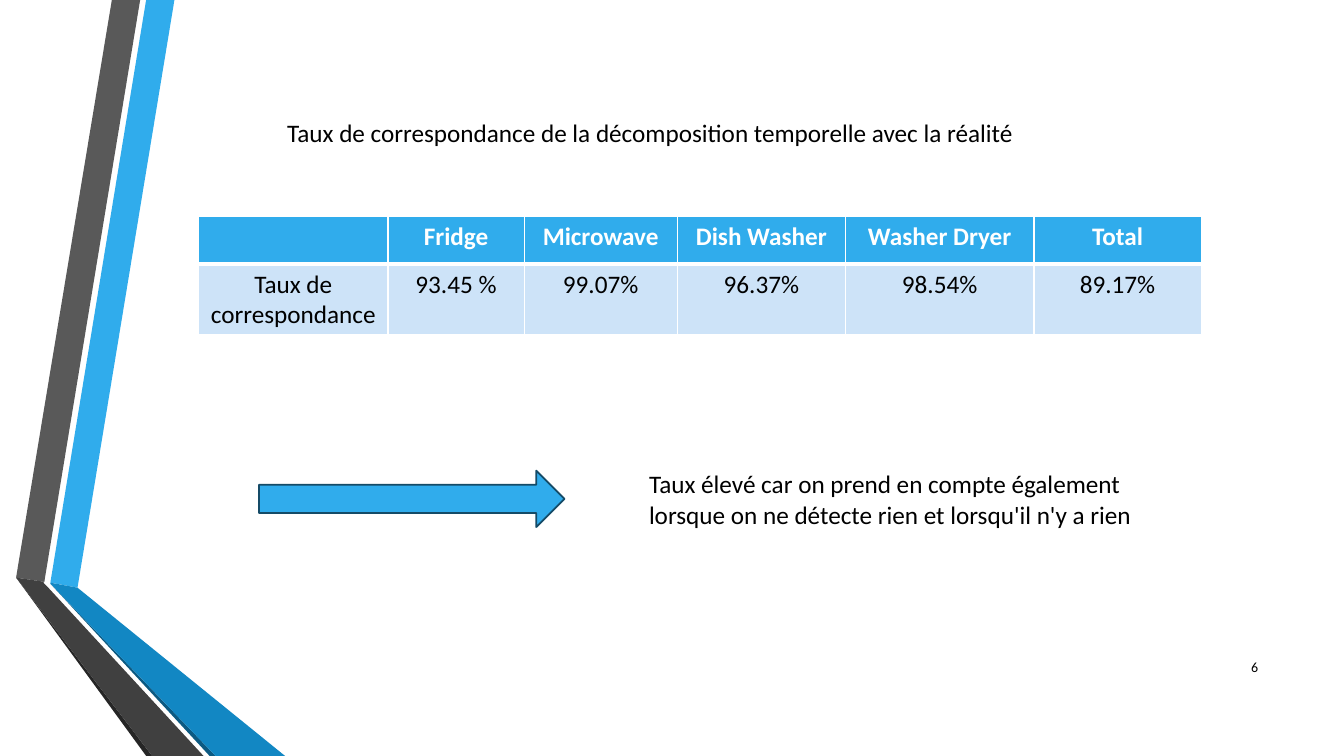
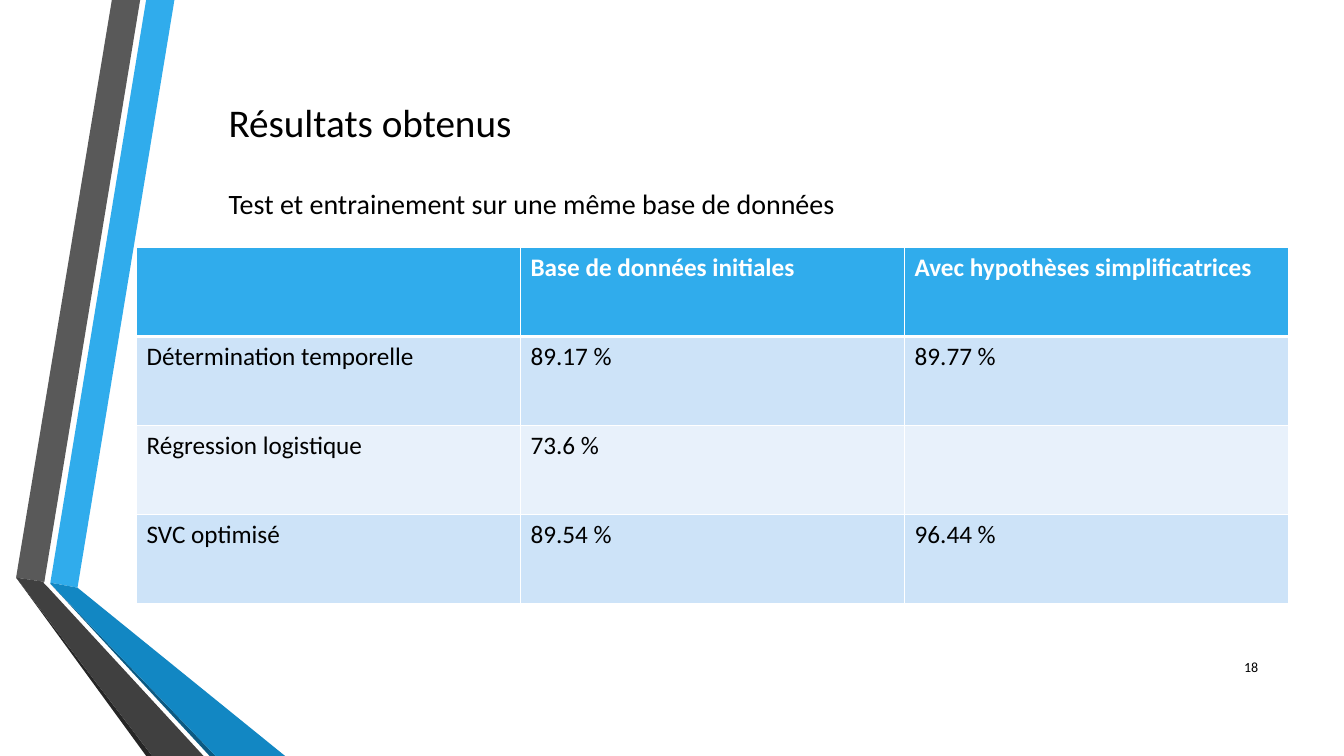
import pptx
import pptx.dml.color
import pptx.enum.shapes
import pptx.enum.text
import pptx.oxml
import pptx.oxml.ns
import pptx.util

Pt = pptx.util.Pt
ALIGN = pptx.enum.text.PP_ALIGN
ANCHOR = pptx.enum.text.MSO_ANCHOR
FIT = pptx.enum.text.MSO_AUTO_SIZE

BLUE, BLACK, WHITE = "30ACEC", "000000", "FFFFFF"
BANDS = ("CDE3F8", "E8F1FB")
BODY = {"name": "Calibri", "size": Pt(18), "bold": False}
HEADER = {**BODY, "bold": True}
SUBTITLE = {**BODY, "size": Pt(20)}
TITLE = {**BODY, "size": Pt(28)}
FOOTER = {**BODY, "size": Pt(10)}
RIBBON_BOX = (11.5, 0, 192.2, 540)
NUMBER_BOX = (862.6, 462.2, 43.2, 28.8)
RIBBONS = (
    (BLUE, ((24.5, 416.2), (43.9, 419.8), (113.1, 0), (92.9, 0))),
    ("595959", ((88.6, 0), (68.4, 0), (0, 412.6), (20.2, 415.6))),
    ("262626", ((0, 412.6), (92.9, 540), (97.2, 540))),
    ("0C5A82", ((24.5, 416.9), (138.3, 540), (142.6, 540))),
    ("1287C3", ((24.5, 416.2), (24.5, 416.9), (142.6, 540), (192.2, 540), (43.9, 419.8))),
    ("404040", ((133.9, 540), (23, 419.8), (19.5, 416.2), (20.2, 415.6), (0, 412.6), (97.2, 540))),
)


def paint(fill, color):
    """Fill a shape, line, cell or font with a hex colour."""
    fill.solid()
    fill.fore_color.rgb = pptx.dml.color.RGBColor.from_string(color)


def apply(obj, values):
    """Set attributes of an object from a dict."""
    for key, value in values.items():
        setattr(obj, key, value)


def write(tf, text, font, color=BLACK, align=ALIGN.LEFT):
    """Write one formatted paragraph in a text frame."""
    p = tf.paragraphs[0]
    p.alignment = align
    r = p.add_run()
    r.text = text
    apply(r.font, font)
    paint(r.font.fill, color)


def add_text(s, box, text, font=BODY, align=ALIGN.LEFT, **frame):
    """Add a wrapped text box."""
    tf = s.shapes.add_textbox(*map(Pt, box)).text_frame
    apply(tf, {"word_wrap": True, "auto_size": FIT.SHAPE_TO_FIT_TEXT, **frame})
    write(tf, text, font, align=align)


def add_ribbons(s, box):
    """Draw the folded ribbons from the top left corner of the box."""
    left, top = box[:2]
    for color, corners in RIBBONS:
        points = [(Pt(left + x), Pt(top + y)) for x, y in corners]
        builder = s.shapes.build_freeform(*points[0], scale=1)
        builder.add_line_segments(points[1:], close=True)
        sp = builder.convert_to_shape()
        sp.shadow.inherit = False
        paint(sp.fill, color)
        sp.line.fill.background()


def add_borders(cell, widths):
    """Give a cell white borders of the given widths."""
    ns = pptx.oxml.ns.nsdecls("a")
    for side, width in widths.items():
        cell._tc.get_or_add_tcPr().append(pptx.oxml.parse_xml(
            f'<a:ln{side} {ns} w="{Pt(width)}"><a:solidFill>'
            f'<a:srgbClr val="{WHITE}"/></a:solidFill></a:ln{side}>'))


def add_table(s, box, rows, widths, heights, align=ALIGN.LEFT):
    """Add a table with a blue header and banded rows."""
    table = s.shapes.add_table(len(rows), len(widths), *map(Pt, box)).table
    for column, width in zip(table.columns, widths):
        column.width = Pt(width)
    for i, (values, height) in enumerate(zip(rows, heights)):
        table.rows[i].height = Pt(height)
        font, color, fill = (BODY, BLACK, BANDS[(i - 1) % 2]) if i else (HEADER, WHITE, BLUE)
        edges = {"L": 1, "R": 1, "T": 3 if i == 1 else 1, "B": 1 if i else 3}
        for j, value in enumerate(values):
            cell = table.cell(i, j)
            add_borders(cell, edges)
            paint(cell.fill, fill)
            if value:
                write(cell.text_frame, value, font, color, align)


def add_arrow(s, box):
    """Add the outlined arrow that leads to the remark."""
    sp = s.shapes.add_shape(pptx.enum.shapes.MSO_SHAPE.RIGHT_ARROW, *map(Pt, box))
    sp.shadow.inherit = False
    paint(sp.fill, BLUE)
    paint(sp.line.fill, "154B67")
    sp.line.width = Pt(1.25)


def new_slide(prs, number):
    """Start a slide with the ribbons and its number."""
    s = prs.slides.add_slide(prs.slide_layouts[6])
    add_ribbons(s, RIBBON_BOX)
    add_text(s, NUMBER_BOX, number, FOOTER, ALIGN.RIGHT,
             auto_size=FIT.NONE, vertical_anchor=ANCHOR.MIDDLE)
    return s


def build_match_slide(prs):
    """Build the slide on the match rate of each appliance."""
    s = new_slide(prs, "6")
    add_text(s, (198, 80.6, 614.9, 28.8),
             "Taux de correspondance de la décomposition temporelle avec la réalité")
    rows = (("", "Fridge", "Microwave", "Dish Washer", "Washer Dryer", "Total"),
            ("Taux de correspondance", "93.45 %", "99.07%", "96.37%", "98.54%", "89.17%"))
    add_table(s, (141.8, 154.8, 716.4, 84.2), rows,
              (135.4, 97.2, 109.4, 120.2, 134.6, 119.5), (33.8, 50.4), ALIGN.CENTER)
    add_arrow(s, (185, 336.2, 218.2, 40.3))
    add_text(s, (456.5, 331.2, 375.8, 51.1),
             "Taux élevé car on prend en compte également lorsque on ne détecte rien "
             "et lorsqu'il n'y a rien")


def build_results_slide(prs):
    """Build the slide that compares the methods."""
    s = new_slide(prs, "18")
    add_text(s, (156.2, 67, 323.3, 41), "Résultats obtenus", TITLE)
    add_text(s, (156.2, 129.6, 495.4, 31.7),
             "Test et entrainement sur une même base de données", SUBTITLE)
    rows = (("", "Base de données initiales", "Avec hypothèses simplificatrices"),
            ("Détermination temporelle", "89.17 %", "89.77 %"),
            ("Régression logistique", "73.6 %", ""),
            ("SVC optimisé", "89.54 %", "96.44 %"))
    add_table(s, (97.5, 176.6, 823, 254.8), rows, [274.33] * 3, [63.7] * 4)


def main():
    """Build and save the presentation."""
    prs = pptx.Presentation()
    apply(prs, {"slide_width": Pt(960), "slide_height": Pt(540)})
    build_match_slide(prs)
    build_results_slide(prs)
    prs.save("out.pptx")


if __name__ == "__main__":
    main()
